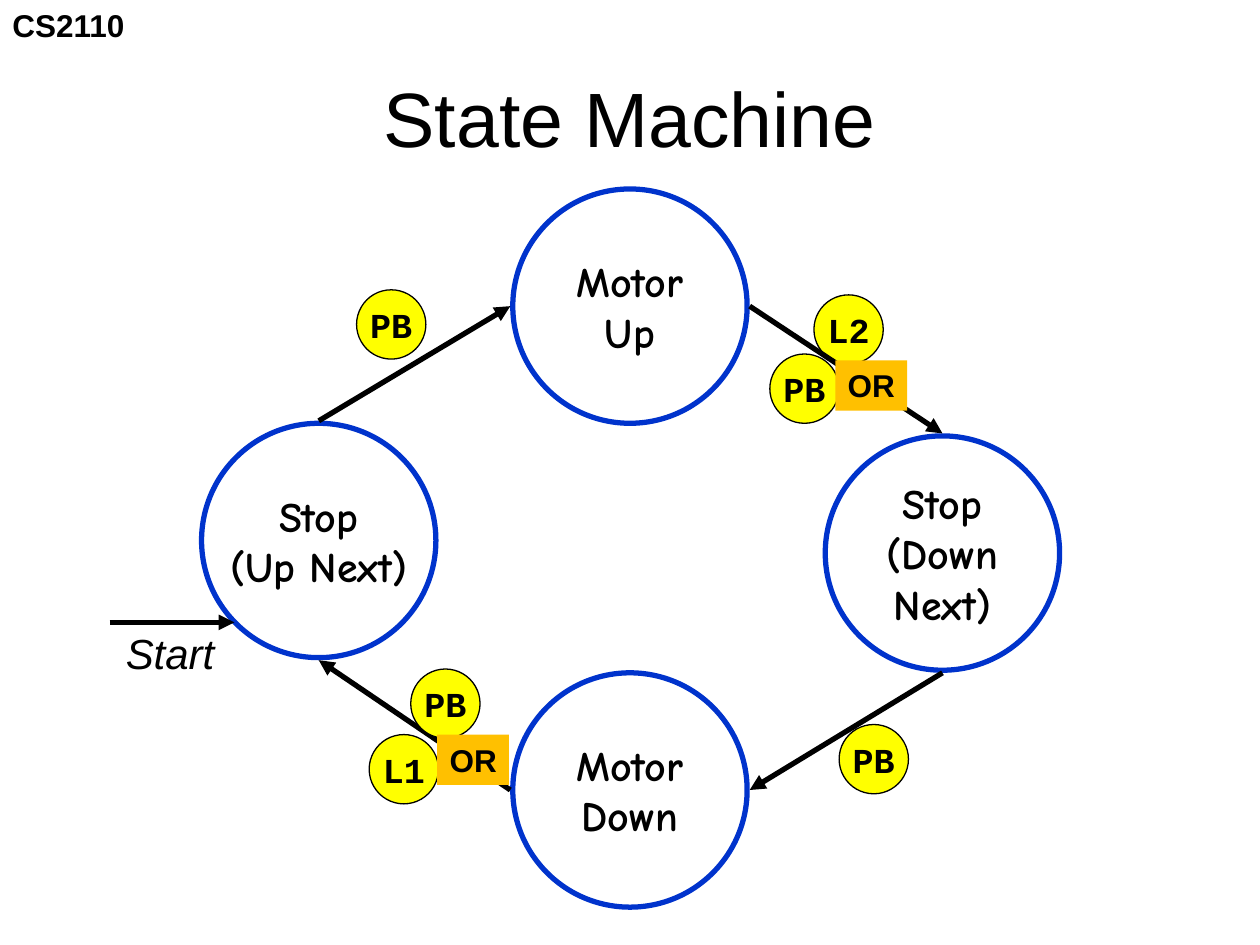
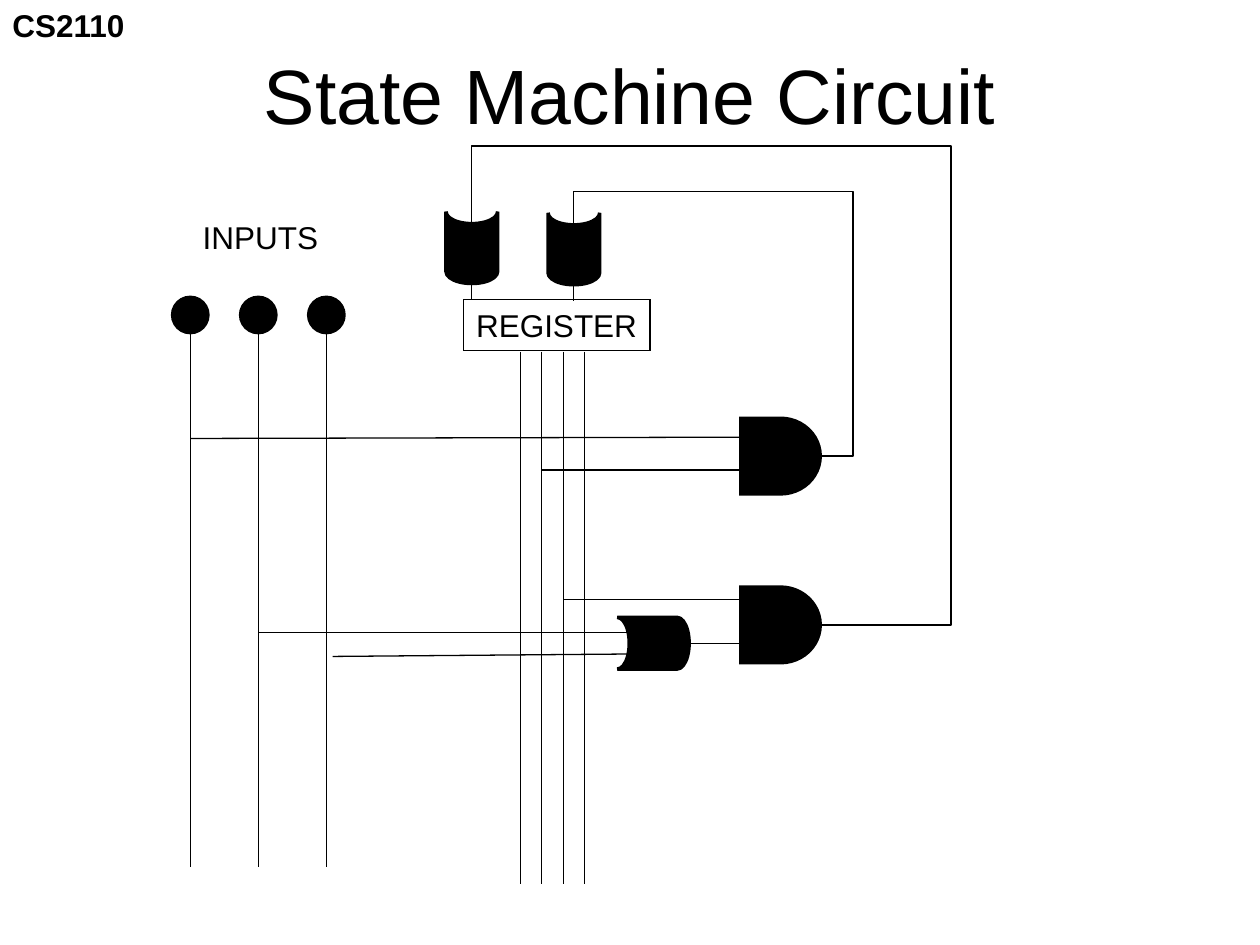
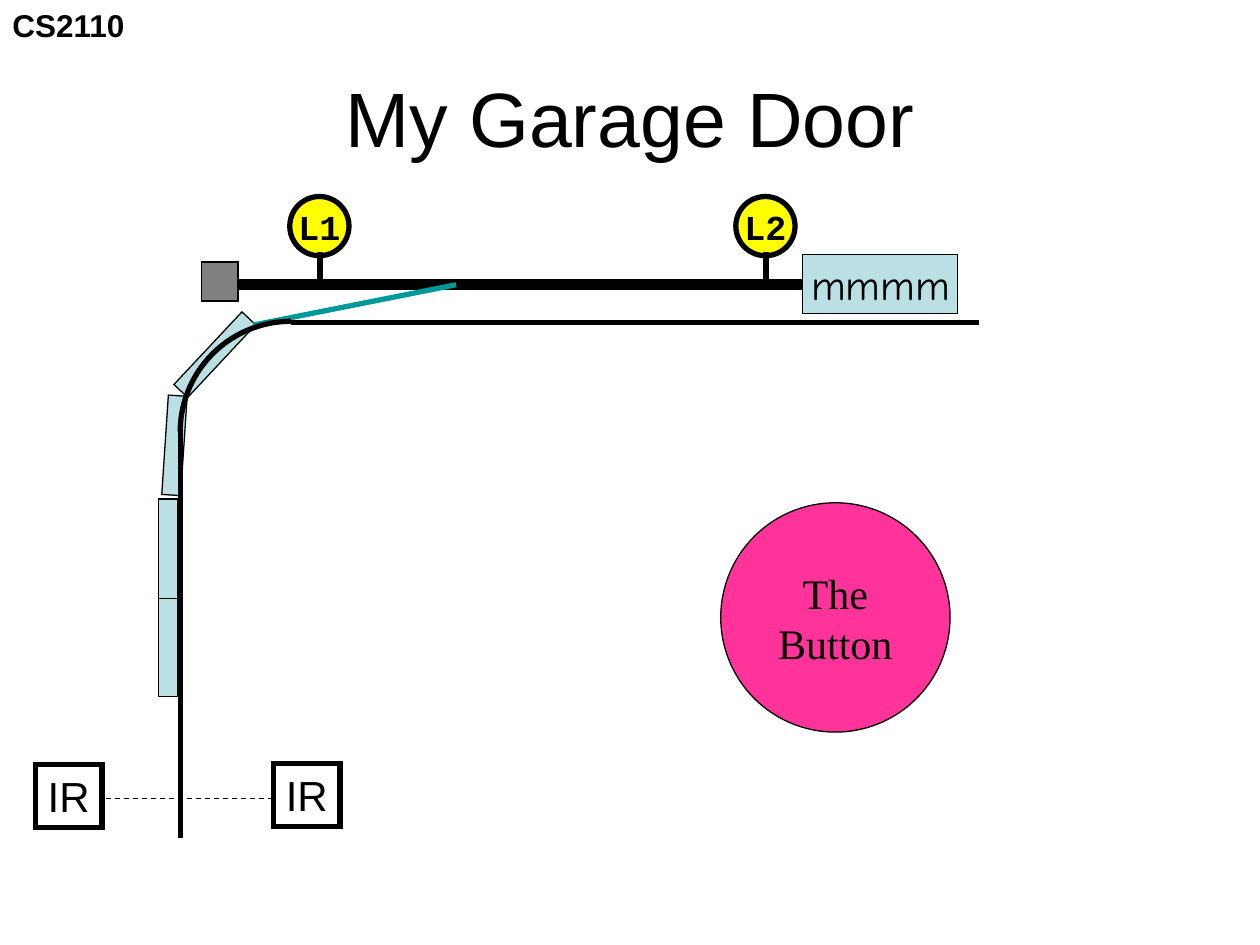
import dataclasses
import math

import lxml.etree
import pptx
import pptx.dml.color
import pptx.enum.dml
import pptx.enum.shapes
import pptx.enum.text
import pptx.oxml.ns
import pptx.util

Inches = pptx.util.Inches
RGBColor = pptx.dml.color.RGBColor
SHAPE = pptx.enum.shapes.MSO_SHAPE
CONNECTOR = pptx.enum.shapes.MSO_CONNECTOR
ALIGN = pptx.enum.text.PP_ALIGN
ANCHOR = pptx.enum.text.MSO_ANCHOR
qn = pptx.oxml.ns.qn

BLACK = RGBColor(0x00, 0x00, 0x00)
STATE_BLUE = RGBColor(0x00, 0x33, 0xCC)
YELLOW = RGBColor(0xFF, 0xFF, 0x00)
ORANGE = RGBColor(0xFF, 0xC0, 0x00)
PALE_TEAL = RGBColor(0xBB, 0xE0, 0xE3)
ARM_TEAL = RGBColor(0x00, 0x99, 0x99)
GRAY = RGBColor(0x80, 0x80, 0x80)
PINK = RGBColor(0xFF, 0x33, 0x99)

THIN = 0.75
GATE_LINE = 2
THICK = 3
TITLE_ONLY = 5


@dataclasses.dataclass(frozen=True)
class TextStyle:
    size: int
    name: str = "Arial"
    bold: bool = False
    italic: bool = False
    centered: bool = False


TITLE_TEXT = TextStyle(44, centered=True)
COURSE_TEXT = TextStyle(18, bold=True)
LABEL_TEXT = TextStyle(18)
START_TEXT = TextStyle(24, italic=True)
SENSOR_TEXT = TextStyle(24)
STATE_TEXT = TextStyle(24, "Comic Neue", bold=True, centered=True)
SPRING_TEXT = TextStyle(24, "Comic Neue")
BADGE_TEXT = TextStyle(20, "Courier New", bold=True, centered=True)
BUTTON_TEXT = TextStyle(24, "Times New Roman", centered=True)


def write_text(text_frame, text, style):
    text_frame.text = text
    for paragraph in text_frame.paragraphs:
        paragraph.alignment = ALIGN.CENTER if style.centered else ALIGN.LEFT
        for run in paragraph.runs:
            run.font.size = pptx.util.Pt(style.size)
            run.font.name = style.name
            run.font.bold = style.bold
            run.font.italic = style.italic
            run.font.color.rgb = BLACK


def write_label(shape, text, style):
    text_frame = shape.text_frame
    write_text(text_frame, text, style)
    text_frame.word_wrap = False
    if style.centered:
        text_frame.vertical_anchor = ANCHOR.MIDDLE
    else:
        text_frame.vertical_anchor = ANCHOR.TOP
        text_frame.margin_right = Inches(0.05)
        text_frame.auto_size = pptx.enum.text.MSO_AUTO_SIZE.SHAPE_TO_FIT_TEXT


def format_shape(shape, fill, line, line_width):
    shape.shadow.inherit = False
    if fill is None:
        shape.fill.background()
    else:
        shape.fill.solid()
        shape.fill.fore_color.rgb = fill
    if line is None:
        shape.line.fill.background()
    else:
        shape.line.color.rgb = line
        shape.line.width = pptx.util.Pt(line_width)
        outline = shape._element.spPr.find(qn("a:ln"))
        lxml.etree.SubElement(outline, qn("a:miter"), lim="800000")


@dataclasses.dataclass
class Region:
    slide: object
    left: float
    top: float

    def add_shape(self, kind, left, top, width, height, fill=None, line=BLACK,
                  line_width=THIN, text=None, style=None):
        shape = self.slide.shapes.add_shape(
            kind, Inches(self.left + left), Inches(self.top + top),
            Inches(width), Inches(height))
        format_shape(shape, fill, line, line_width)
        if text:
            write_label(shape, text, style)
        return shape

    def add_curve(self, points, width):
        start, *others = [(Inches(self.left + x), Inches(self.top + y))
                          for x, y in points]
        builder = self.slide.shapes.build_freeform(*start)
        builder.add_line_segments(others, close=False)
        format_shape(builder.convert_to_shape(), None, BLACK, width)

    def add_text(self, left, top, width, height, text, style):
        text_box = self.slide.shapes.add_textbox(
            Inches(self.left + left), Inches(self.top + top),
            Inches(width), Inches(height))
        write_label(text_box, text, style)
        return text_box

    def add_line(self, start, end, width=THIN, color=BLACK, kind=CONNECTOR.STRAIGHT):
        connector = self.slide.shapes.add_connector(
            kind, Inches(self.left + start[0]), Inches(self.top + start[1]),
            Inches(self.left + end[0]), Inches(self.top + end[1]))
        connector.line.color.rgb = color
        connector.line.width = pptx.util.Pt(width)
        lxml.etree.SubElement(connector._element.spPr, qn("a:effectLst"))
        return connector

    def add_arrow(self, start, end):
        connector = self.add_line(start, end, THICK)
        line = connector._element.spPr.find(qn("a:ln"))
        lxml.etree.SubElement(line, qn("a:tailEnd"), type="triangle")

    def add_feedback(self, start, corner, end):
        connector = self.add_line(start, end, kind=CONNECTOR.ELBOW)
        geometry = connector._element.spPr.find(qn("a:prstGeom"))
        geometry.set("prst", "bentConnector4")
        guides = geometry.find(qn("a:avLst"))
        for number, (first, bend, last) in enumerate(zip(start, corner, end), 1):
            value = round((bend - first) / (last - first) * 100000)
            lxml.etree.SubElement(guides, qn("a:gd"), name=f"adj{number}",
                                  fmla=f"val {value}")


def add_titled_slide(presentation, title, title_height=1.25):
    slide = presentation.slides.add_slide(presentation.slide_layouts[TITLE_ONLY])
    placeholder = slide.shapes.title
    placeholder.left, placeholder.top = Inches(0.5), Inches(0.3)
    placeholder.width, placeholder.height = Inches(9), Inches(title_height)
    write_text(placeholder.text_frame, title, TITLE_TEXT)
    placeholder.text_frame.vertical_anchor = ANCHOR.MIDDLE
    return slide


def add_course_label_to_layout(slide):
    label = Region(slide, 0, 0).add_text(0, 0, 1.1, 0.4, "CS2110", COURSE_TEXT)
    label._element.nvSpPr.cNvPr.id = 90
    slide.slide_layout.shapes._spTree.append(label._element)


def draw_badges(region, badges):
    for text, left, top in badges:
        region.add_shape(SHAPE.OVAL, left, top, 0.55, 0.55, YELLOW,
                         text=text, style=BADGE_TEXT)


def draw_state_cycle(region):
    size, gap = 1.86, 0.02
    states = {
        "Motor\nUp": (2.47, 0),
        "Motor\nDown": (2.47, 3.84),
        "Stop\n(Up Next)": (0, 1.86),
        "Stop\n(Down\nNext)": (4.95, 1.96),
    }
    motor_up, motor_down, up_next, down_next = states.values()

    def edge(state, across, down):
        return (state[0] + size / 2 + across * (size / 2 + gap),
                state[1] + size / 2 + down * (size / 2 + gap))

    draw_badges(region, [("L2", 4.86, 0.84), ("PB", 5.06, 4.25)])
    for text, (left, top) in states.items():
        region.add_shape(SHAPE.OVAL, left, top, size, size, line=STATE_BLUE,
                         line_width=THICK, text=text, style=STATE_TEXT)
    region.add_arrow(edge(motor_up, 1, 0), edge(down_next, 0, -1))
    region.add_arrow(edge(down_next, 0, 1), edge(motor_down, 1, 0))
    region.add_arrow(edge(motor_down, -1, 0), edge(up_next, 0, 1))
    region.add_arrow(edge(up_next, 0, -1), edge(motor_up, -1, 0))
    draw_badges(region, [("L1", 1.33, 4.33), ("PB", 1.23, 0.8),
                         ("PB", 4.51, 1.31), ("PB", 1.66, 3.81)])
    for left, top in ((1.87, 4.33), (5.03, 1.36)):
        region.add_shape(SHAPE.RECTANGLE, left, top, 0.57, 0.4, ORANGE, None,
                         text="OR", style=COURSE_TEXT)


def draw_start(region):
    region.add_arrow((0, 0.01), (0.99, 0.01))
    region.add_text(0.03, 0, 0.9, 0.5, "Start", START_TEXT)


def draw_or_gate(region, left, top, rotation=0):
    gate = region.add_shape(SHAPE.FLOWCHART_STORED_DATA, left, top, 0.57, 0.41,
                            BLACK, line_width=GATE_LINE)
    gate.rotation = rotation
    gate._element.spPr.find(qn("a:xfrm")).set("flipH", "1")


def draw_inputs(region):
    region.add_text(0.14, 0, 1.11, 0.4, "INPUTS", LABEL_TEXT)
    for index in range(3):
        left = 0.54 * index
        region.add_shape(SHAPE.FLOWCHART_CONNECTOR, left, 0.68, 0.28, 0.28,
                         BLACK, line_width=GATE_LINE)
        region.add_line((left + 0.14, 0.97), (left + 0.14, 5.2))


def draw_register(region):
    region.add_shape(SHAPE.RECTANGLE, 0, 0, 1.48, 0.4,
                     text="REGISTER", style=LABEL_TEXT)
    for index in range(4):
        across = 0.45 + 0.17 * index
        region.add_line((across, 0.41), (across, 4.64))
    for left, top in ((-0.22, -0.62), (0.59, -0.61)):
        draw_or_gate(region, left, top, 90)
        region.add_line((left + 0.28, top + 0.49), (left + 0.28, top + 0.62))


def draw_logic(region):
    for top in (0, 1.34):
        region.add_shape(SHAPE.FLOWCHART_DELAY, 0, top, 0.63, 0.6, BLACK,
                         line_width=GATE_LINE)
    draw_or_gate(region, -0.98, 1.58)
    wires = [
        ((-4.37, 0.16), (0, 0.15)),
        ((-1.58, 0.41), (0, 0.41)),
        ((-3.83, 1.7), (-0.9, 1.7)),
        ((-3.24, 1.89), (-0.8, 1.87)),
        ((-0.41, 1.79), (0, 1.79)),
        ((-1.41, 1.44), (0, 1.44)),
    ]
    for start, end in wires:
        region.add_line(start, end)
    region.add_feedback((0.64, 0.3), (0.89, -1.8), (-1.33, -1.53))
    region.add_feedback((0.64, 1.64), (1.67, -2.16), (-2.14, -1.54))


def draw_door(region):
    for left, top, rotation in ((0.37, 0, 43.1), (0, 2.32, 0),
                                (0, 1.54, 0), (0.05, 0.72, 3.8)):
        panel = region.add_shape(SHAPE.RECTANGLE, left, top, 0.15, 0.79, PALE_TEAL)
        panel.rotation = rotation


def draw_opener(region):
    region.add_line((0.3, 0.26), (5.99, 0.26), 6)
    region.add_shape(SHAPE.RECTANGLE, 4.77, 0.02, 1.23, 0.47, PALE_TEAL)
    region.add_line((0.41, 0.58), (2.02, 0.26), THICK, ARM_TEAL)
    region.add_shape(SHAPE.RECTANGLE, 0, 0.08, 0.29, 0.31, GRAY)
    region.add_text(4.74, 0, 1.3, 0.5, "mmmm", SPRING_TEXT)
    for text, left in (("L1", 0.7), ("L2", 4.24)):
        region.add_shape(SHAPE.OVAL, left, -0.44, 0.47, 0.47, YELLOW,
                         line_width=THICK, text=text, style=BADGE_TEXT)
        region.add_line((left + 0.24, 0), (left + 0.24, 0.29), THICK)


def draw_track(region):
    radius, steps = 0.88, 30
    angles = [math.pi / 2 * step / steps for step in range(steps + 1)]
    region.add_curve([(radius * (1 - math.sin(angle)), radius * (1 - math.cos(angle)))
                      for angle in angles], THICK)
    region.add_line((radius, 0.01), (6.34, 0.01), THICK)
    region.add_line((0, radius), (0, 4.1), THICK)


def draw_button(region):
    region.add_shape(SHAPE.OVAL, 0, 0, 1.82, 1.82, PINK,
                     text="The\nButton", style=BUTTON_TEXT)


def draw_beam_sensors(region):
    for left, top in ((0, 0.01), (1.89, 0)):
        region.add_shape(SHAPE.RECTANGLE, left, top, 0.53, 0.5, line_width=THICK,
                         text="IR", style=SENSOR_TEXT)
    beam = region.add_line((0.56, 0.28), (1.89, 0.28))
    beam.line.dash_style = pptx.enum.dml.MSO_LINE.DASH


def build_state_machine(presentation):
    slide = add_titled_slide(presentation, "State Machine")
    add_course_label_to_layout(slide)
    draw_state_cycle(Region(slide, 1.6, 1.5))
    draw_start(Region(slide, 0.87, 4.93))


def build_circuit(presentation):
    slide = add_titled_slide(presentation, "State Machine Circuit", 0.88)
    draw_register(Region(slide, 3.68, 2.38))
    draw_inputs(Region(slide, 1.37, 1.68))
    draw_logic(Region(slide, 5.88, 3.32))


def build_garage_door(presentation):
    slide = add_titled_slide(presentation, "My Garage Door")
    draw_door(Region(slide, 1.26, 2.42))
    draw_opener(Region(slide, 1.6, 2))
    draw_button(Region(slide, 5.72, 3.99))
    draw_track(Region(slide, 1.43, 2.55))
    draw_beam_sensors(Region(slide, 0.28, 6.06))


def main():
    presentation = pptx.Presentation()
    presentation.slide_width = Inches(10)
    presentation.slide_height = Inches(7.5)
    build_state_machine(presentation)
    build_circuit(presentation)
    build_garage_door(presentation)
    presentation.save("out.pptx")


if __name__ == "__main__":
    main()
